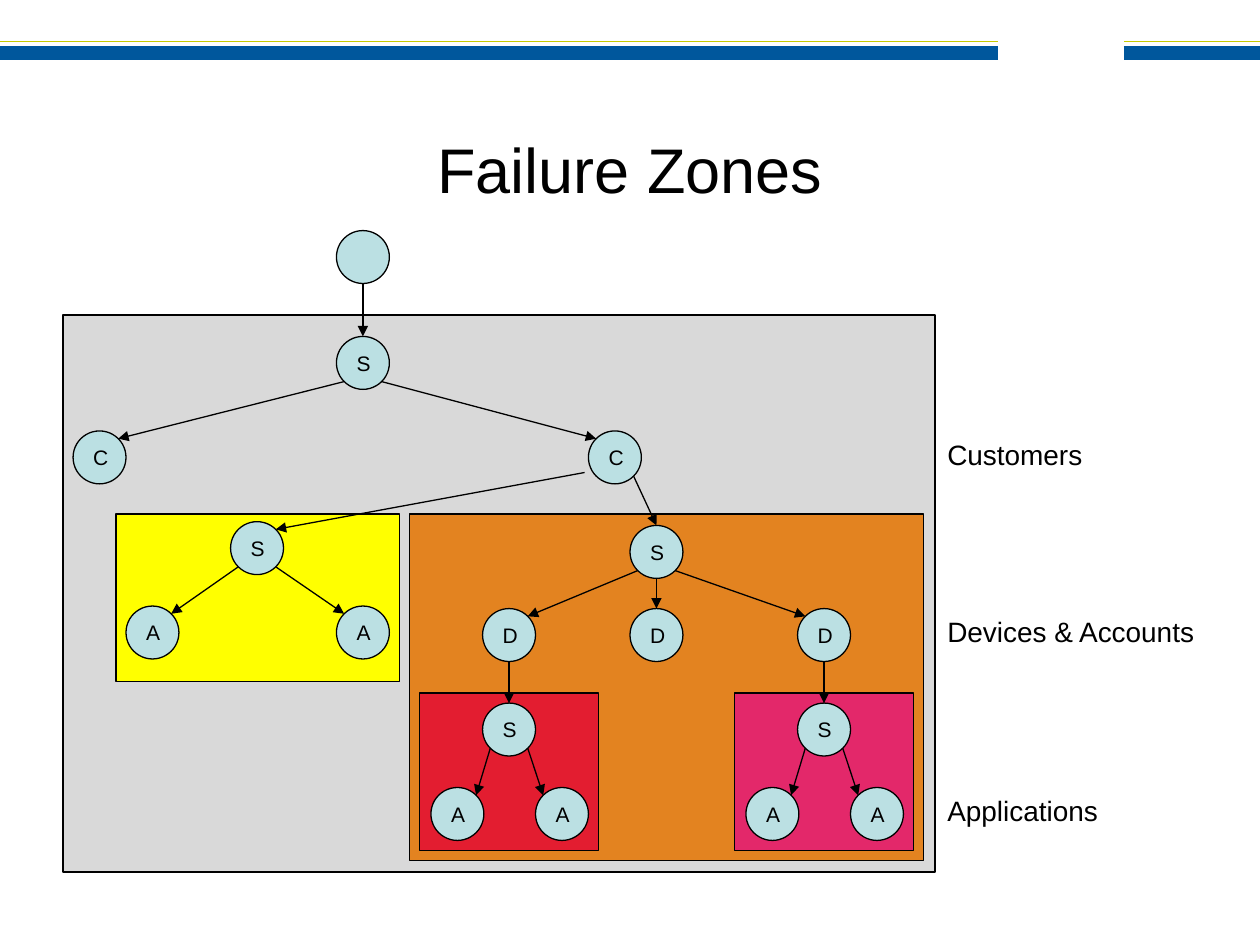
from dataclasses import dataclass

from lxml import etree
from pptx import Presentation
from pptx import util as u
from pptx.dml.color import RGBColor
from pptx.enum import shapes, text
from pptx.oxml.ns import qn

COLORS = {
    "black": "000000", "node": "BBE0E3", "blue": "00579C", "lime": "C7CA00",
    "gray": "D9D9D9", "orange": "E38320", "pink": "E3286A", "red": "E31D30",
    "yellow": "FFFF00",
}
FONT = "Arial"
DIAMETER = 0.42
RADIUS = DIAMETER / 2
DIAGONAL = RADIUS * 0.5 ** 0.5


@dataclass(frozen=True)
class Zone:
    left: float
    top: float
    width: float
    height: float
    color: str


@dataclass(frozen=True)
class Node:
    label: str
    left: float
    top: float

    def rim(self, side: int, down: int) -> tuple[float, float]:
        """Point on the circle: side is -1, 0 or 1; down is -1 or 1."""
        reach = DIAGONAL if side else RADIUS
        return (self.left + RADIUS + side * reach,
                self.top + RADIUS + down * reach)


@dataclass(frozen=True)
class Caption:
    words: str
    left: float
    top: float
    width: float
    height: float
    size: int
    centered: bool = False


ZONES = [
    Zone(0.5, 2.5, 6.92, 4.42, "gray"),
    Zone(3.25, 4.08, 4.08, 2.75, "orange"),
    Zone(5.83, 5.5, 1.42, 1.25, "pink"),
    Zone(3.33, 5.5, 1.42, 1.25, "red"),
    Zone(0.92, 4.08, 2.25, 1.33, "yellow"),
]
NODES = {
    "root": Node("", 2.67, 1.83),
    "service": Node("S", 2.67, 2.67),
    "customer 1": Node("C", 0.58, 3.42),
    "customer 2": Node("C", 4.67, 3.42),
    "accounts": Node("S", 1.83, 4.14),
    "account 1": Node("A", 1, 4.81),
    "account 2": Node("A", 2.67, 4.81),
    "devices": Node("S", 5, 4.17),
    "device 1": Node("D", 3.83, 4.83),
    "device 2": Node("D", 5, 4.83),
    "device 3": Node("D", 6.33, 4.83),
    "apps 1": Node("S", 3.83, 5.58),
    "app 1": Node("A", 3.42, 6.25),
    "app 2": Node("A", 4.25, 6.25),
    "apps 3": Node("S", 6.33, 5.58),
    "app 3": Node("A", 5.92, 6.25),
    "app 4": Node("A", 6.75, 6.25),
}
CHILDREN = {
    "root": ["service"],
    "service": ["customer 1", "customer 2"],
    "accounts": ["account 1", "account 2"],
    "devices": ["device 1", "device 2", "device 3"],
    "device 1": ["apps 1"],
    "device 3": ["apps 3"],
    "apps 1": ["app 1", "app 2"],
    "apps 3": ["app 3", "app 4"],
}
CAPTIONS = [
    Caption("Failure Zones", 0.75, 0.75, 8.5, 1.17, 36, True),
    Caption("Customers", 7.42, 3.42, 1.29, 0.37, 16),
    Caption("Devices & Accounts", 7.42, 4.83, 2.19, 0.37, 16),
    Caption("Applications", 7.42, 6.25, 1.41, 0.37, 16),
]


def color(name: str) -> RGBColor:
    return RGBColor.from_string(COLORS[name])


def add_words(para, words: str, size: int) -> None:
    span = para.add_run()
    span.text = words
    span.font.name = FONT
    span.font.size = u.Pt(size)
    span.font.color.rgb = color("black")


def draw_line(page, start: tuple[float, float], end: tuple[float, float],
              shade: str = "black", weight: float = 0.75,
              arrow: bool = True) -> None:
    line = page.shapes.add_connector(
        shapes.MSO_CONNECTOR.STRAIGHT,
        *(u.Inches(value) for value in (*start, *end)))
    line.line.color.rgb = color(shade)
    line.line.width = u.Pt(weight)
    if arrow:
        etree.SubElement(line.line._get_or_add_ln(), qn("a:tailEnd"),
                         type="triangle")
    etree.SubElement(line._element.spPr, qn("a:effectLst"))


def draw_shape(page, kind, left: float, top: float, width: float,
               height: float, fill: str):
    shape = page.shapes.add_shape(
        kind, *(u.Inches(value) for value in (left, top, width, height)))
    shape.shadow.inherit = False
    shape.fill.solid()
    shape.fill.fore_color.rgb = color(fill)
    shape.line.color.rgb = color("black")
    shape.line.width = u.Pt(0.75)
    return shape


def draw_node(page, node: Node) -> None:
    circle = draw_shape(page, shapes.MSO_SHAPE.OVAL, node.left, node.top,
                        DIAMETER, DIAMETER, "node")
    if node.label:
        para = circle.text_frame.paragraphs[0]
        para.alignment = text.PP_ALIGN.LEFT
        add_words(para, node.label, 12)


def draw_link(page, parent: Node, child: Node) -> None:
    side = (child.left > parent.left) - (child.left < parent.left)
    draw_line(page, parent.rim(side, 1), child.rim(-side, -1))


def draw_caption(page, caption: Caption) -> None:
    box = page.shapes.add_textbox(
        u.Inches(caption.left), u.Inches(caption.top),
        u.Inches(caption.width), u.Inches(caption.height))
    frame = box.text_frame
    frame.word_wrap = caption.centered
    para = frame.paragraphs[0]
    if caption.centered:
        frame.vertical_anchor = text.MSO_ANCHOR.MIDDLE
        para.alignment = text.PP_ALIGN.CENTER
    add_words(para, caption.words, caption.size)


def main() -> None:
    deck = Presentation()
    deck.slide_width, deck.slide_height = u.Inches(10), u.Inches(7.5)
    page = deck.slides.add_slide(deck.slide_layouts[6])

    # Header bands, with a gap towards the right
    for left, right in ((0, 7.92), (8.92, 10)):
        draw_line(page, (left, 0.42), (right, 0.42), "blue", 7.75, False)
        draw_line(page, (left, 0.33), (right, 0.33), "lime", 1, False)

    # Failure zones
    for zone in ZONES:
        draw_shape(page, shapes.MSO_SHAPE.RECTANGLE, zone.left, zone.top,
                   zone.width, zone.height, zone.color)

    # Title and level names
    for caption in CAPTIONS:
        draw_caption(page, caption)

    # Tree: circles, then the arrows between them
    for node in NODES.values():
        draw_node(page, node)
    for parent, children in CHILDREN.items():
        for child in children:
            draw_link(page, NODES[parent], NODES[child])

    # Arrows from the second customer into its two zones
    draw_line(page, NODES["customer 2"].rim(1, 1), NODES["devices"].rim(0, -1))
    draw_line(page, (4.64, 3.75), NODES["accounts"].rim(1, -1))

    deck.save("out.pptx")


if __name__ == "__main__":
    main()
